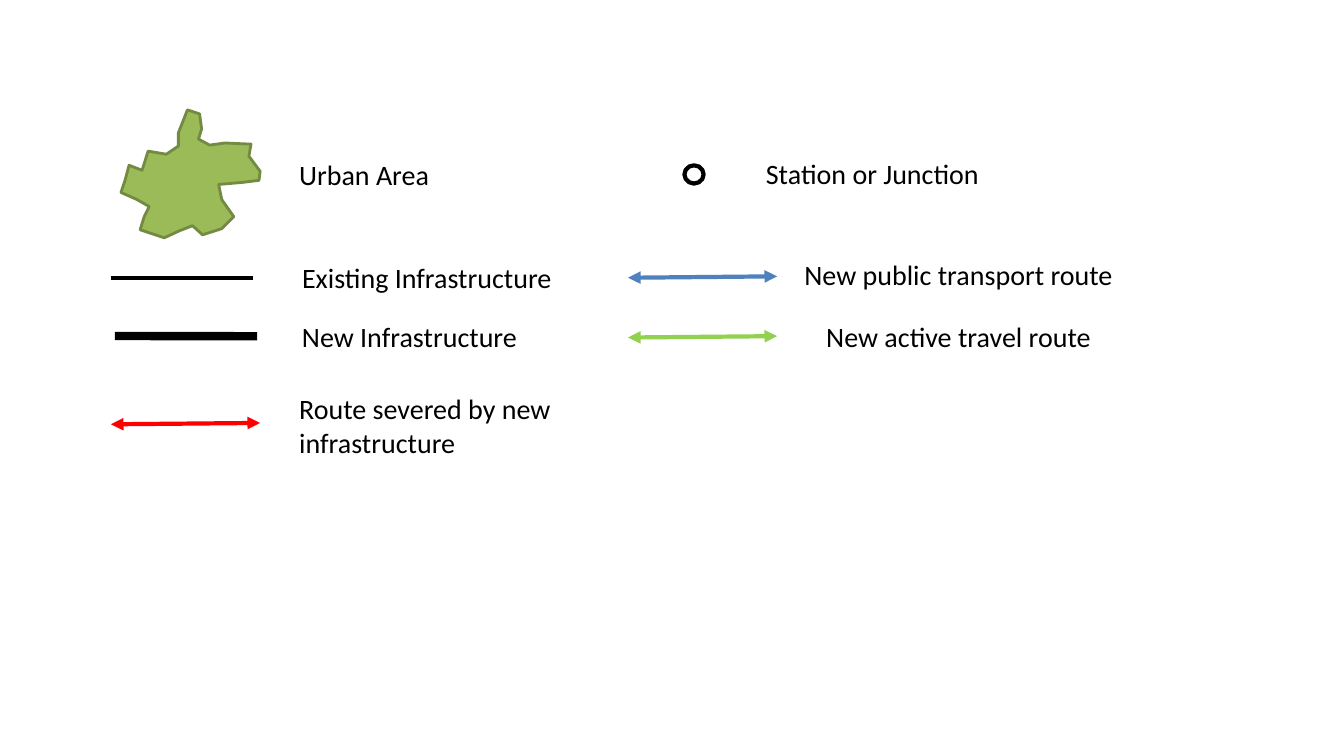
from lxml.etree import SubElement
from pptx import Presentation
from pptx.dml.color import RGBColor as RGB
from pptx.enum.shapes import MSO_CONNECTOR as LINK, MSO_SHAPE as FORM
from pptx.enum.text import PP_ALIGN as ALIGN
from pptx.oxml.ns import qn
from pptx.util import Pt

HUES = {
    "black": "000000", "white": "FFFFFF", "town": "9BBB59", "edge": "738A42",
    "red": "FF0000", "blue": "4F81BD", "green": "92D050",
}
FONT, SIZE = "Calibri", 20
TOWN = [
    (101.5, 121.7), (105.8, 108), (118.8, 110.2), (127.4, 104.4), (127.4, 95),
    (133.9, 78.5), (142.6, 81.4), (144, 92.2), (141.8, 99.4), (149.8, 103.7),
    (160.6, 102.2), (179.3, 103), (177.8, 111.6), (185.8, 122.4), (185, 128.9),
    (173.5, 130.3), (156.2, 131.8), (158.4, 142.6), (167, 154.8), (158.4, 163.4),
    (144.7, 167.8), (137.5, 161.3), (128.2, 164.9), (117.4, 169.9), (100.1, 164.2),
    (103, 154.8), (106.6, 147.6), (97.9, 142.6), (86.4, 137.5), (89.3, 128.9),
    (92.2, 118.1),
]
STOP = (488.9, 118.1, 13.7, 13)
LABELS = [
    ("Urban Area", 206.6, 108.7, 162.7, 31, ALIGN.LEFT),
    ("Existing Infrastructure", 195.1, 182.7, 219.6, 31, ALIGN.CENTER),
    ("New Infrastructure", 208.6, 224.8, 206, 31, ALIGN.LEFT),
    ("Route severed by new infrastructure", 206.6, 276.4, 208, 55.4, ALIGN.LEFT),
    ("Station or Junction", 540, 108.2, 200, 31, ALIGN.LEFT),
    ("New public transport route", 555.1, 180.7, 259.2, 31, ALIGN.CENTER),
    ("New active travel route", 555.1, 224.8, 259.2, 31, ALIGN.CENTER),
]
LINES = [
    (79.2, 198.6, 180.7, 198.6, "black", 3, False),
    (82, 240, 183.6, 240.2, "black", 6, False),
    (79.2, 303.1, 185.8, 302.1, "red", 3, True),
    (448.6, 198.4, 555.1, 197.4, "blue", 3, True),
    (448.6, 241.1, 555.1, 240.1, "green", 3, True),
]


def hue(name):
    return RGB.from_string(HUES[name])


def paint(shape, fill, edge, width):
    shape.shadow.inherit = False
    shape.fill.solid()
    shape.fill.fore_color.rgb = hue(fill)
    shape.line.color.rgb = hue(edge)
    shape.line.width = Pt(width)


def label(text, left, top, width, height, align):
    box = slide.shapes.add_textbox(Pt(left), Pt(top), Pt(width), Pt(height))
    frame = box.text_frame
    frame.word_wrap = True
    para = frame.paragraphs[0]
    para.alignment = align
    run = para.add_run()
    run.text = text
    run.font.name = FONT
    run.font.size = Pt(SIZE)
    run.font.color.rgb = hue("black")


def route(x1, y1, x2, y2, tint, width, tips):
    link = slide.shapes.add_connector(LINK.STRAIGHT, Pt(x1), Pt(y1), Pt(x2), Pt(y2))
    link.line.color.rgb = hue(tint)
    link.line.width = Pt(width)
    if tips:
        stroke = link.line._get_or_add_ln()
        for end in ("a:headEnd", "a:tailEnd"):
            SubElement(stroke, qn(end), type="triangle")
    SubElement(link._element.spPr, qn("a:effectLst"))


deck = Presentation()
deck.slide_width, deck.slide_height = Pt(960), Pt(540)
slide = deck.slides.add_slide(deck.slide_layouts[6])

start, *rest = [(Pt(x), Pt(y)) for x, y in TOWN]
path = slide.shapes.build_freeform(*start)
path.add_line_segments(rest, close=True)
paint(path.convert_to_shape(), "town", "edge", 2)

stop = slide.shapes.add_shape(FORM.OVAL, *map(Pt, STOP))
paint(stop, "white", "black", 3)

for item in LINES:
    route(*item)
for item in LABELS:
    label(*item)

deck.save("out.pptx")
